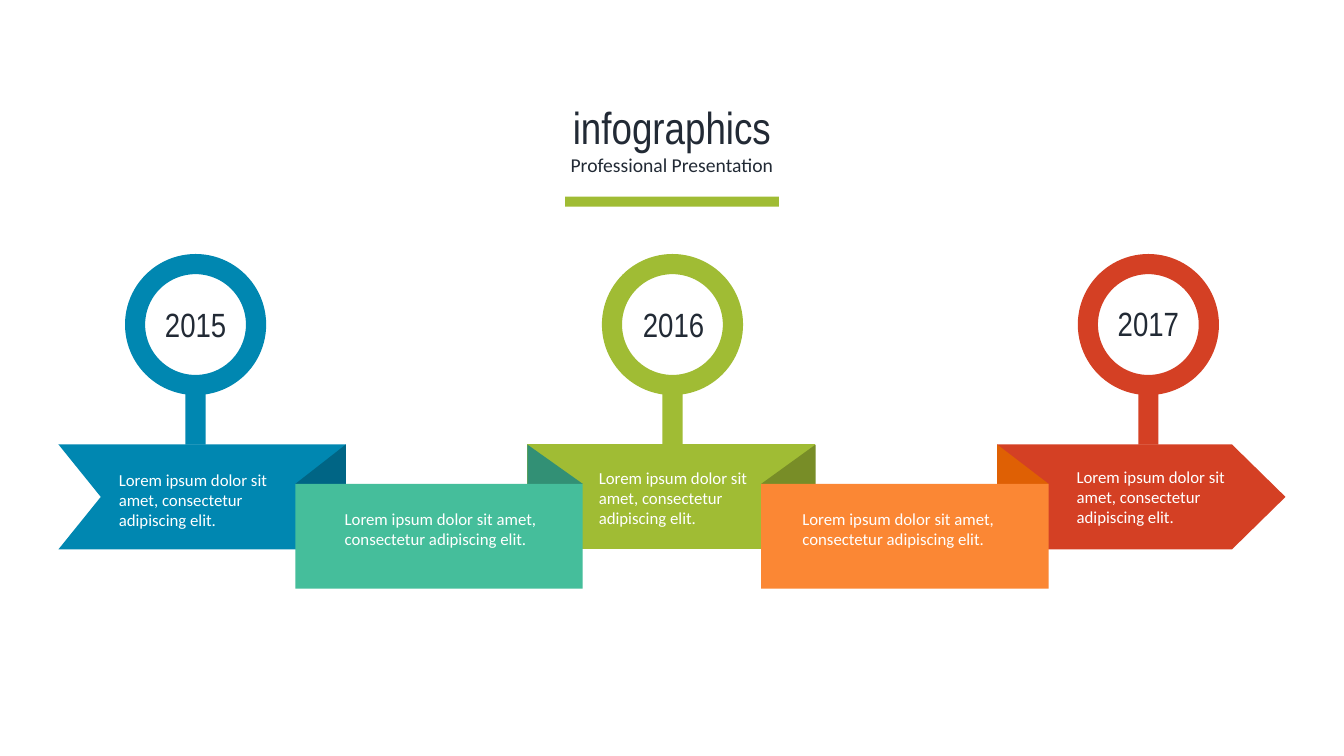
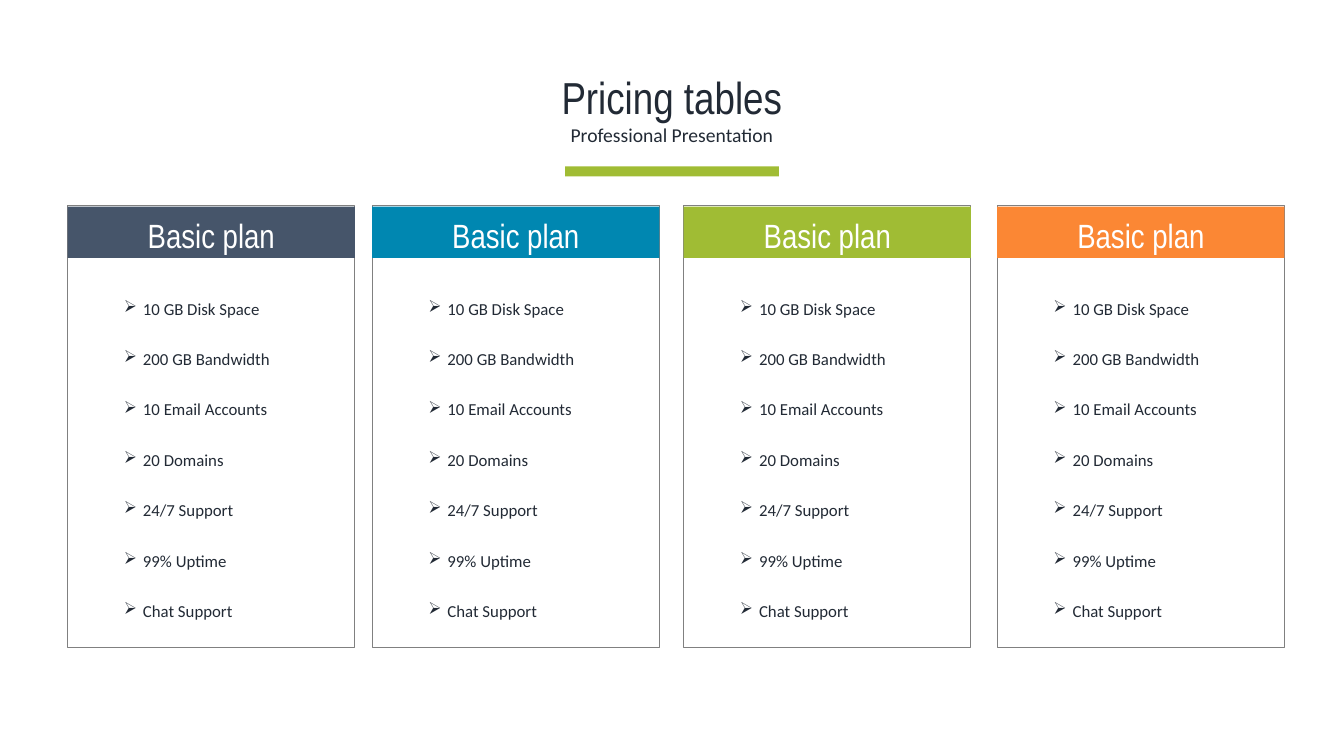
"""Builds a ribbon timeline slide and a pricing table slide."""
from lxml.etree import SubElement
from pptx import Presentation
from pptx.dml.color import RGBColor
from pptx.enum.shapes import MSO_SHAPE as Shape
from pptx.enum.text import MSO_AUTO_SIZE as AutoSize, PP_ALIGN as Align
from pptx.oxml.ns import qn
from pptx.util import Inches, Pt

COLORS = {
    "ink": "222A35", "white": "FFFFFF", "border": "808080", "slate": "46556A",
    "blue": "0087B1", "green": "A0BC34", "red": "D44024",
    "teal": "45BE9B", "orange": "FB8734",
    "dark blue": "006585", "dark green": "788D27",
    "dark teal": "329075", "dark orange": "DF6004",
}
HEADING, BODY = "Arial Narrow", "Calibri"
WIDTH, HEIGHT = 13.33, 7.5

SUBTITLE = "Professional Presentation"
LOREM = "Lorem ipsum dolor sit amet, consectetur adipiscing elit."
BAND_WIDTH, BAND_HEIGHT = 2.85, 1.04
UPPER, LOWER = 4.41, 4.8
MIDDLE, BOTTOM = UPPER + BAND_HEIGHT / 2, UPPER + BAND_HEIGHT
RING, RING_TOP, STEM = 1.4, 2.52, 0.2

RIBBONS = [
    ("blue", [(0.58, UPPER), (3.43, UPPER), (3.43, BOTTOM), (0.58, BOTTOM), (1, MIDDLE)]),
    ("green", [(5.23, UPPER), (8.08, UPPER), (8.08, BOTTOM), (5.23, BOTTOM)]),
    ("red", [(9.89, UPPER), (12.22, UPPER), (12.75, MIDDLE), (12.22, BOTTOM), (9.89, BOTTOM)]),
]
FOLDS = [("dark blue", 3.43, 2.93), ("dark teal", 5.23, 5.78),
         ("dark green", 8.09, 7.55), ("dark orange", 9.89, 10.4)]
LOWER_BANDS = [("teal", 2.93), ("orange", 7.55)]
MILESTONES = [("2015", "blue", 1.94, 1.94, 2.97), ("2016", "green", 6.67, 6.68, 2.97),
              ("2017", "red", 11.39, 11.39, 2.96)]
CAPTIONS = [(1.08, 4.61, 1.87), (3.32, 5, 2.3), (5.84, 4.59, 1.71),
            (7.86, 5, 2.3), (10.58, 4.58, 1.87)]

PLANS = [("Basic plan", "slate", 0.67), ("Basic plan", "blue", 3.69),
         ("Basic plan", "green", 6.78), ("Basic plan", "orange", 9.89)]
FEATURES = ["10 GB Disk Space", "200 GB Bandwidth", "10 Email Accounts",
            "20 Domains", "24/7 Support", "99% Uptime", "Chat Support"]
PANEL_TOP, PANEL_HEIGHT, LIST_WIDTH = 2.04, 4.38, 1.93


def rgb(name):
    return RGBColor.from_string(COLORS[name])


def paint(shape, fill=None, line=None):
    shape.shadow.inherit = False
    if fill:
        shape.fill.solid()
        shape.fill.fore_color.rgb = rgb(fill)
    else:
        shape.fill.background()
    if line:
        shape.line.color.rgb = rgb(line)
        shape.line.width = Pt(0)
    else:
        shape.line.fill.background()
    return shape


def add_block(page, left, top, width, height, fill=None, line=None, kind=Shape.RECTANGLE):
    shape = page.shapes.add_shape(kind, *map(Inches, (left, top, width, height)))
    return paint(shape, fill, line)


def add_outline(page, points, fill):
    corners = [(Inches(x), Inches(y)) for x, y in points]
    builder = page.shapes.build_freeform(*corners[0])
    builder.add_line_segments(corners[1:], close=True)
    return paint(builder.convert_to_shape(), fill)


def add_bullet(para, indent=0.19):
    properties = para._p.get_or_add_pPr()
    properties.set("marL", str(Inches(indent)))
    properties.set("indent", str(-Inches(indent)))
    SubElement(properties, qn("a:buChar")).set("char", "➢")


def add_text(page, text, left, top, width, height, size=12, font=BODY, color="ink",
             align=Align.LEFT, spacing=None, bullet=False):
    box = page.shapes.add_textbox(*map(Inches, (left, top, width, height)))
    frame = box.text_frame
    frame.word_wrap = True
    frame.auto_size = AutoSize.SHAPE_TO_FIT_TEXT
    frame.text = text
    for para in frame.paragraphs:
        para.alignment = align
        if spacing:
            para.line_spacing = spacing
        if bullet:
            add_bullet(para)
        for span in para.runs:
            span.font.size = Pt(size)
            span.font.name = font
            span.font.color.rgb = rgb(color)
    return box


def add_page(deck, title, top):
    page = deck.slides.add_slide(deck.slide_layouts[6])
    add_text(page, title, 0, top, WIDTH, 0.64, size=32, font=HEADING, align=Align.CENTER)
    add_text(page, SUBTITLE, 0.68, top + 0.53, 11.97, 0.34, size=14, align=Align.CENTER)
    add_block(page, (WIDTH - 2.12) / 2, top + 1.01, 2.12, 0.1, "green")
    return page


def add_timeline(deck):
    page = add_page(deck, "infographics", 0.94)
    for color, points in RIBBONS:
        add_outline(page, points, color)
    for color, outer, inner in FOLDS:
        add_outline(page, [(outer, UPPER), (outer, LOWER), (inner, LOWER)], color)
    for color, left in LOWER_BANDS:
        add_block(page, left, LOWER, BAND_WIDTH, BAND_HEIGHT, color)
    for year, color, center, label_center, label_top in MILESTONES:
        ring = add_block(page, center - RING / 2, RING_TOP, RING, RING, color, kind=Shape.DONUT)
        ring.adjustments[0] = STEM / RING
        stem_top = RING_TOP + RING - 0.1
        add_block(page, center - STEM / 2, stem_top, STEM, UPPER - stem_top, color)
        add_text(page, year, label_center - 0.725, label_top, 1.45, 0.5, size=24,
                 font=HEADING, align=Align.CENTER)
    for left, top, width in CAPTIONS:
        add_text(page, LOREM, left, top, width, 0.5 if width > 2 else 0.71, color="white")


def add_pricing(deck):
    page = add_page(deck, "Pricing tables", 0.64)
    for plan, color, left in PLANS:
        add_block(page, left, PANEL_TOP, BAND_WIDTH, PANEL_HEIGHT, line="border")
        add_text(page, "\n".join(FEATURES), left + (BAND_WIDTH - LIST_WIDTH) / 2, 2.61,
                 LIST_WIDTH, 3.64, spacing=2.5, bullet=True)
        add_block(page, left, PANEL_TOP + 0.01, BAND_WIDTH, 0.51, color)
        add_text(page, plan, left, PANEL_TOP + 0.04, BAND_WIDTH, 0.5, size=24,
                 font=HEADING, color="white", align=Align.CENTER)


def main():
    deck = Presentation()
    deck.slide_width, deck.slide_height = Inches(WIDTH), Inches(HEIGHT)
    add_timeline(deck)
    add_pricing(deck)
    deck.save("out.pptx")


if __name__ == "__main__":
    main()
